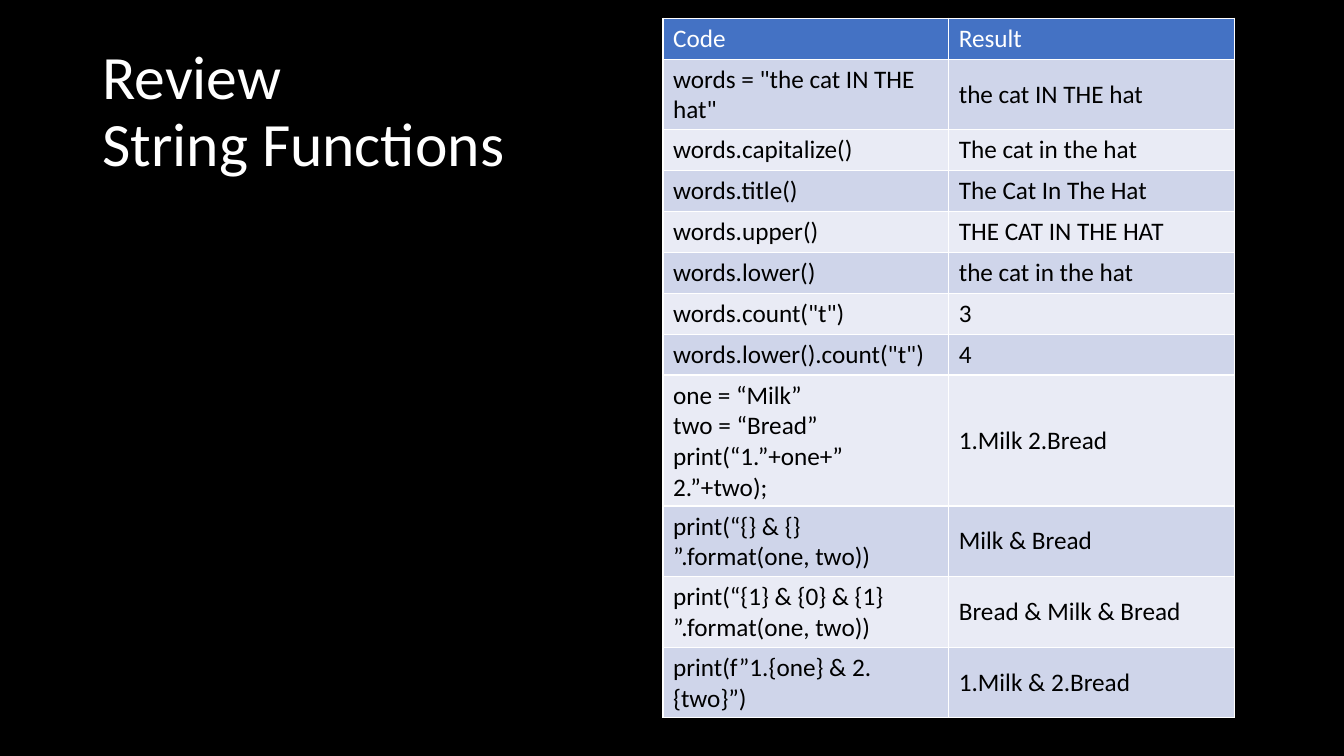
from pptx import Presentation
from pptx import util as u
from pptx.dml import color
from pptx.enum import text
from pptx.oxml import ns
from lxml import etree

# Content
TITLE = ["Review", "String Functions"]
ROWS = [
    (["Code"], "Result"),
    (['words = "the cat IN THE hat"'], "the cat IN THE hat"),
    (["words.capitalize()"], "The cat in the hat"),
    (["words.title()"], "The Cat In The Hat"),
    (["words.upper()"], "THE CAT IN THE HAT"),
    (["words.lower()"], "the cat in the hat"),
    (['words.count("t")'], "3"),
    (['words.lower().count("t")'], "4"),
    (["one = “Milk”", "two = “Bread”", "print(“1.”+one+” 2.”+two);"],
     "1.Milk 2.Bread"),
    (["print(“{} & {} ”.format(one, two))"], "Milk & Bread"),
    (["print(“{1} & {0} & {1} ”.format(one, two))"], "Bread & Milk & Bread"),
    (["print(f”1.{one} & 2.{two}”)"], "1.Milk & 2.Bread"),
]

# Theme and layout
THEME = dict(font="Calibri", title=44, body=18, back="000000", light="FFFFFF",
             dark="000000", head="4472C4", bands=("E9EBF5", "CFD5EA"))
PAGE = (33.87, 19.05)
TITLE_BOX = (2.33, 1.01, 29.21, 3.68)
LEFT, TOP, COL, ROW = 16.71, 0.46, 7.2, 1.03


def rgb(name):
    return color.RGBColor.from_string(name)


def paint(fill, name):
    fill.solid()
    fill.fore_color.rgb = rgb(name)


def write(para, words, size, name):
    run = para.add_run()
    run.text = words
    font = run.font
    font.name, font.size, font.bold = THEME["font"], u.Pt(size), False
    font.color.rgb = rgb(name)


def edge(cell):
    props = cell._tc.get_or_add_tcPr()
    for tag in ("a:lnL", "a:lnR", "a:lnT", "a:lnB"):
        line = etree.SubElement(props, ns.qn(tag), w=str(u.Pt(1)))
        fill = etree.SubElement(line, ns.qn("a:solidFill"))
        etree.SubElement(fill, ns.qn("a:srgbClr"), val=THEME["light"])


def add_title(slide):
    frame = slide.shapes.add_textbox(*map(u.Cm, TITLE_BOX)).text_frame
    frame.word_wrap = True
    frame.vertical_anchor = text.MSO_ANCHOR.MIDDLE
    para = frame.paragraphs[0]
    para.line_spacing = 0.9
    for i, words in enumerate(TITLE):
        if i:
            para.add_line_break()
        write(para, words, THEME["title"], THEME["light"])


def fill_cell(cell, lines, row):
    edge(cell)
    paint(cell.fill, THEME["bands"][row % 2] if row else THEME["head"])
    cell.vertical_anchor = text.MSO_ANCHOR.MIDDLE
    frame = cell.text_frame
    for i, words in enumerate(lines):
        para = frame.add_paragraph() if i else frame.paragraphs[0]
        write(para, words, THEME["body"], THEME["dark" if row else "light"])


def add_grid(slide):
    size = (LEFT, TOP, 2 * COL, len(ROWS) * ROW)
    grid = slide.shapes.add_table(len(ROWS), 2, *map(u.Cm, size)).table
    for col in grid.columns:
        col.width = u.Cm(COL)
    for r, (code, result) in enumerate(ROWS):
        grid.rows[r].height = u.Cm(ROW)
        for c, lines in enumerate((code, [result])):
            fill_cell(grid.cell(r, c), lines, r)


def main():
    deck = Presentation()
    deck.slide_width, deck.slide_height = map(u.Cm, PAGE)
    slide = deck.slides.add_slide(deck.slide_layouts[6])
    paint(slide.background.fill, THEME["back"])
    add_title(slide)
    add_grid(slide)
    deck.save("out.pptx")


if __name__ == "__main__":
    main()
